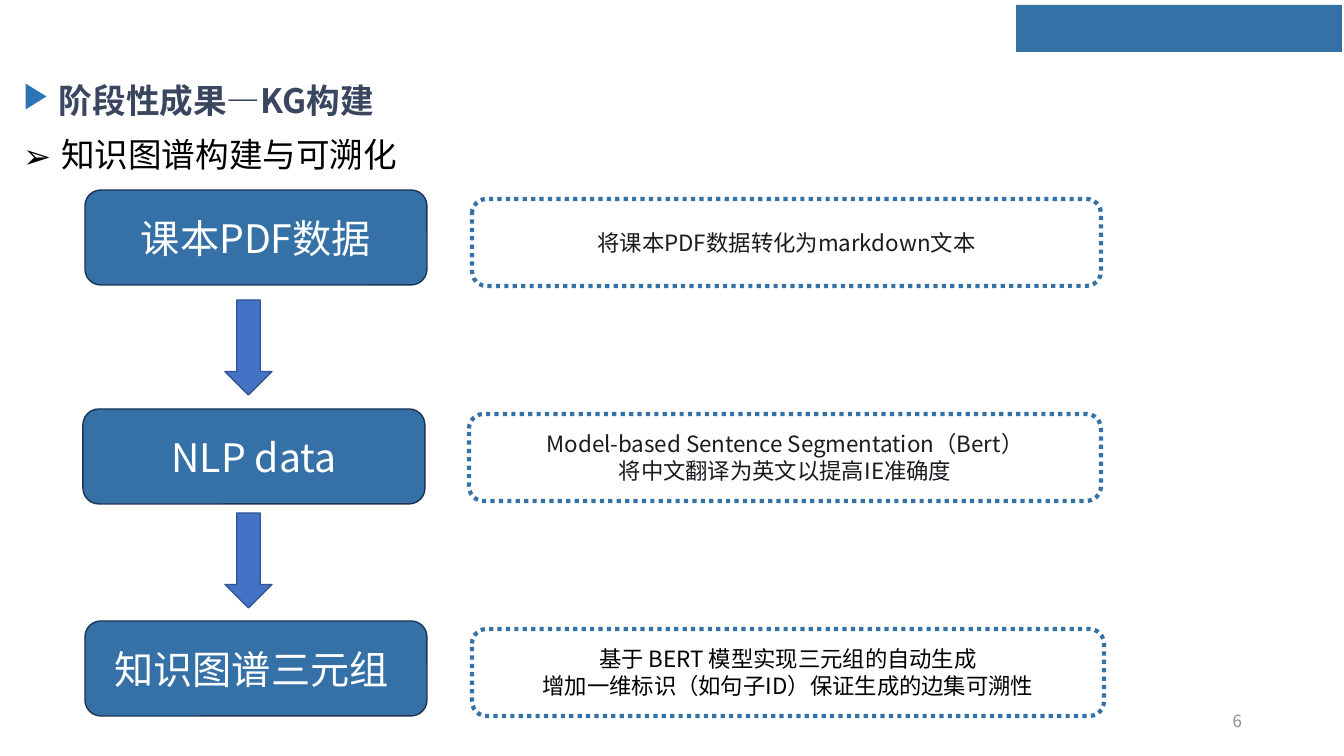
from lxml.etree import SubElement
from pptx import Presentation
from pptx.dml.color import RGBColor
from pptx.enum.dml import MSO_LINE_DASH_STYLE as Dash
from pptx.enum.shapes import MSO_SHAPE as Shape
from pptx.enum.text import MSO_ANCHOR as Anchor, MSO_AUTO_SIZE as AutoSize, PP_ALIGN as Align
from pptx.oxml.ns import qn
from pptx.util import Pt

PX = 12192000 / 1344
FONT = "Noto Sans CJK SC"


def write(shape, text, size, color, bold=False, align=Align.CENTER, anchor=Anchor.MIDDLE, inset=(10, 5)):
    frame = shape.text_frame
    frame.word_wrap = True
    frame.auto_size = AutoSize.NONE
    frame.vertical_anchor = anchor
    frame.margin_left = frame.margin_right = round(inset[0] * PX)
    frame.margin_top = frame.margin_bottom = round(inset[1] * PX)
    frame.text = text
    for para in frame.paragraphs:
        para.alignment = align
        para.line_spacing = 1.0
        para.space_before = Pt(0)
        for span in para.runs:
            span.font.size = Pt(size)
            span.font.bold = bold
            span.font.name = FONT
            span.font.color.rgb = RGBColor.from_string(color)
            SubElement(span.font._element, qn("a:ea"), typeface=FONT)


def draw(kind, box, fill, line=None, width=1, dash=None):
    shape = page.shapes.add_shape(kind, *[round(v * PX) for v in box])
    shape.shadow.inherit = False
    shape.fill.solid()
    shape.fill.fore_color.rgb = RGBColor.from_string(fill)
    if line:
        shape.line.color.rgb = RGBColor.from_string(line)
        shape.line.width = Pt(width)
        shape.line.dash_style = dash
    else:
        shape.line.fill.background()
    return shape


deck = Presentation()
deck.slide_width, deck.slide_height = round(1344 * PX), round(756 * PX)
page = deck.slides.add_slide(deck.slide_layouts[1])

title, subtitle = page.shapes.title, page.placeholders[1]
number = page.shapes.add_textbox(0, 0, 0, 0)
for holder, box in [
    (title, (52, 76, 461, 97)),
    (subtitle, (13, 129, 929, 55)),
    (number, (950, 701, 302, 40)),
]:
    holder.left, holder.top, holder.width, holder.height = [round(v * PX) for v in box]

write(title, "阶段性成果—KG构建", 24, "3A4660", bold=True, align=Align.LEFT, anchor=Anchor.TOP, inset=(7, 4))
write(subtitle, "知识图谱构建与可溯化", 24, "000000", align=Align.LEFT, anchor=Anchor.TOP)
write(number, "6", 12, "8C8C8C", align=Align.RIGHT)

bullet = subtitle.text_frame.paragraphs[0]._p.get_or_add_pPr()
bullet.set("marL", str(round(38 * PX)))
bullet.set("indent", str(round(-38 * PX)))
SubElement(bullet, qn("a:buFont"), typeface=FONT)
SubElement(bullet, qn("a:buChar"), char="➢")

marker = draw(Shape.ISOSCELES_TRIANGLE, (23, 86, 26, 21), "2E75B6")
marker.rotation = 90
draw(Shape.RECTANGLE, (1016, 5, 326, 47), "3471A7")

steps = [
    (85, 190, "课本PDF数据", 472, 199, 629, "将课本PDF数据转化为markdown文本", "191B1F"),
    (83, 409, "NLP data", 469, 414, 632,
     "Model-based Sentence Segmentation（Bert）\n将中文翻译为英文以提高IE准确度", "191B1F"),
    (85, 621, "知识图谱三元组 ", 472, 629, 632,
     "基于 BERT 模型实现三元组的自动生成\n增加一维标识（如句子ID）保证生成的边集可溯性", "000000"),
]
for left, top, name, note_left, note_top, note_width, note, color in steps:
    step = draw(Shape.ROUNDED_RECTANGLE, (left, top, 342, 95), "3571A7", "1E3256")
    write(step, name, 28, "FFFFFF")
    detail = draw(Shape.ROUNDED_RECTANGLE, (note_left, note_top, note_width, 87),
                  "FFFFFF", "3471A7", 3, Dash.ROUND_DOT)
    write(detail, note, 16, color)

for top in (300, 513):
    draw(Shape.DOWN_ARROW, (225, top, 47, 95), "4472C4", "325491")

deck.save("out.pptx")
